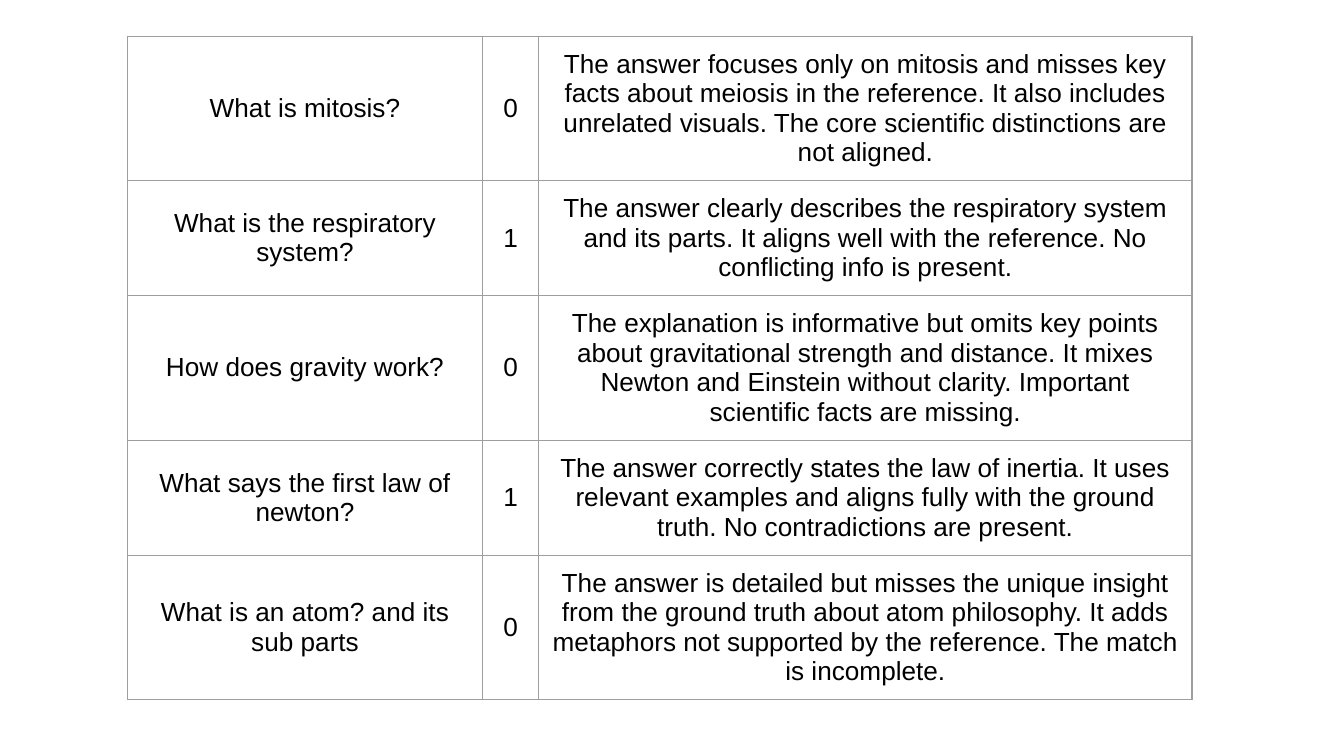
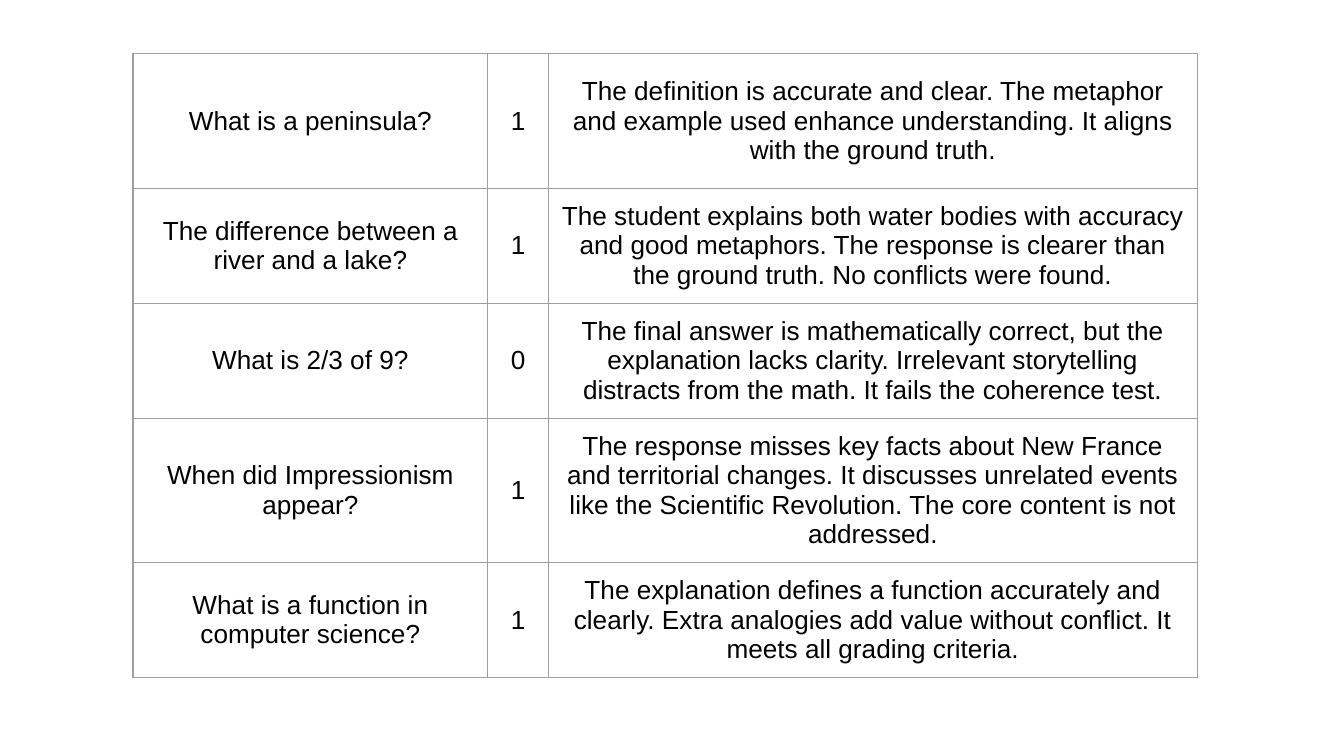
from dataclasses import dataclass
from itertools import product
from lxml.etree import SubElement
from pptx import Presentation
from pptx.dml.color import RGBColor
from pptx.enum.text import MSO_ANCHOR, PP_ALIGN
from pptx.oxml.ns import qn
from pptx.util import Inches, Pt


@dataclass(frozen=True)
class Theme:
    font: str = "Arial"
    size: int = 14
    ink: str = "000000"
    rule: str = "9E9E9E"
    weight: float = 0.75
    pad: float = 0.1


THEME = Theme()
WIDTH = 10
HEIGHT = WIDTH * 9 / 16

GRADES = [
    {
        "at": (0.95, 0.27),
        "cols": (2.64, 0.42, 4.86),
        "rows": [0.42] * 5,
        "cells": [
            ("What is mitosis?", 0,
             "The answer focuses only on mitosis and misses key facts about meiosis in the reference. "
             "It also includes unrelated visuals. The core scientific distinctions are not aligned."),
            ("What is the respiratory system?", 1,
             "The answer clearly describes the respiratory system and its parts. "
             "It aligns well with the reference. No conflicting info is present."),
            ("How does gravity work?", 0,
             "The explanation is informative but omits key points about gravitational strength and distance. "
             "It mixes Newton and Einstein without clarity. Important scientific facts are missing."),
            ("What says the first law of newton?", 1,
             "The answer correctly states the law of inertia. It uses relevant examples "
             "and aligns fully with the ground truth. No contradictions are present."),
            ("What is an atom? and its sub parts", 0,
             "The answer is detailed but misses the unique insight from the ground truth about atom philosophy. "
             "It adds metaphors not supported by the reference. The match is incomplete."),
        ],
    },
    {
        "at": (0.99, 0.4),
        "cols": (2.64, 0.45, 4.83),
        "rows": [1] + [0.82] * 4,
        "cells": [
            ("What is a peninsula?", 1,
             "The definition is accurate and clear. The metaphor and example used enhance understanding. "
             "It aligns with the ground truth."),
            ("The difference between a river and a lake?", 1,
             "The student explains both water bodies with accuracy and good metaphors. "
             "The response is clearer than the ground truth. No conflicts were found."),
            ("What is 2/3 of 9?", 0,
             "The final answer is mathematically correct, but the explanation lacks clarity. "
             "Irrelevant storytelling distracts from the math. It fails the coherence test."),
            ("When did Impressionism appear?", 1,
             "The response misses key facts about New France and territorial changes. It discusses "
             "unrelated events like the Scientific Revolution. The core content is not addressed."),
            ("What is a function in computer science?", 1,
             "The explanation defines a function accurately and clearly. "
             "Extra analogies add value without conflict. It meets all grading criteria."),
        ],
    },
]


def add_rules(cell):
    props = cell._tc.get_or_add_tcPr()
    for side in ("a:lnL", "a:lnR", "a:lnT", "a:lnB"):
        line = SubElement(props, qn(side), w=str(Pt(THEME.weight)))
        fill = SubElement(line, qn("a:solidFill"))
        SubElement(fill, qn("a:srgbClr"), val=THEME.rule)


def fill_cell(cell, text):
    add_rules(cell)
    cell.fill.background()
    cell.vertical_anchor = MSO_ANCHOR.MIDDLE
    pad = Inches(THEME.pad)
    cell.margin_left = cell.margin_right = pad
    cell.margin_top = cell.margin_bottom = pad
    cell.text_frame.text = str(text)
    para = cell.text_frame.paragraphs[0]
    para.alignment = PP_ALIGN.CENTER
    font = para.runs[0].font
    font.name, font.size = THEME.font, Pt(THEME.size)
    font.color.rgb = RGBColor.from_string(THEME.ink)


def add_grades(slide, grade):
    cols, rows, cells = grade["cols"], grade["rows"], grade["cells"]
    box = map(Inches, (*grade["at"], sum(cols), sum(rows)))
    table = slide.shapes.add_table(len(rows), len(cols), *box).table
    table.first_row = table.horz_banding = False
    for col, width in zip(table.columns, cols):
        col.width = Inches(width)
    for row, height in zip(table.rows, rows):
        row.height = Inches(height)
    for r, c in product(range(len(rows)), range(len(cols))):
        fill_cell(table.cell(r, c), cells[r][c])


def main():
    deck = Presentation()
    deck.slide_width, deck.slide_height = Inches(WIDTH), Inches(HEIGHT)
    blank = deck.slide_layouts[6]
    for grade in GRADES:
        add_grades(deck.slides.add_slide(blank), grade)
    deck.save("out.pptx")


if __name__ == "__main__":
    main()
